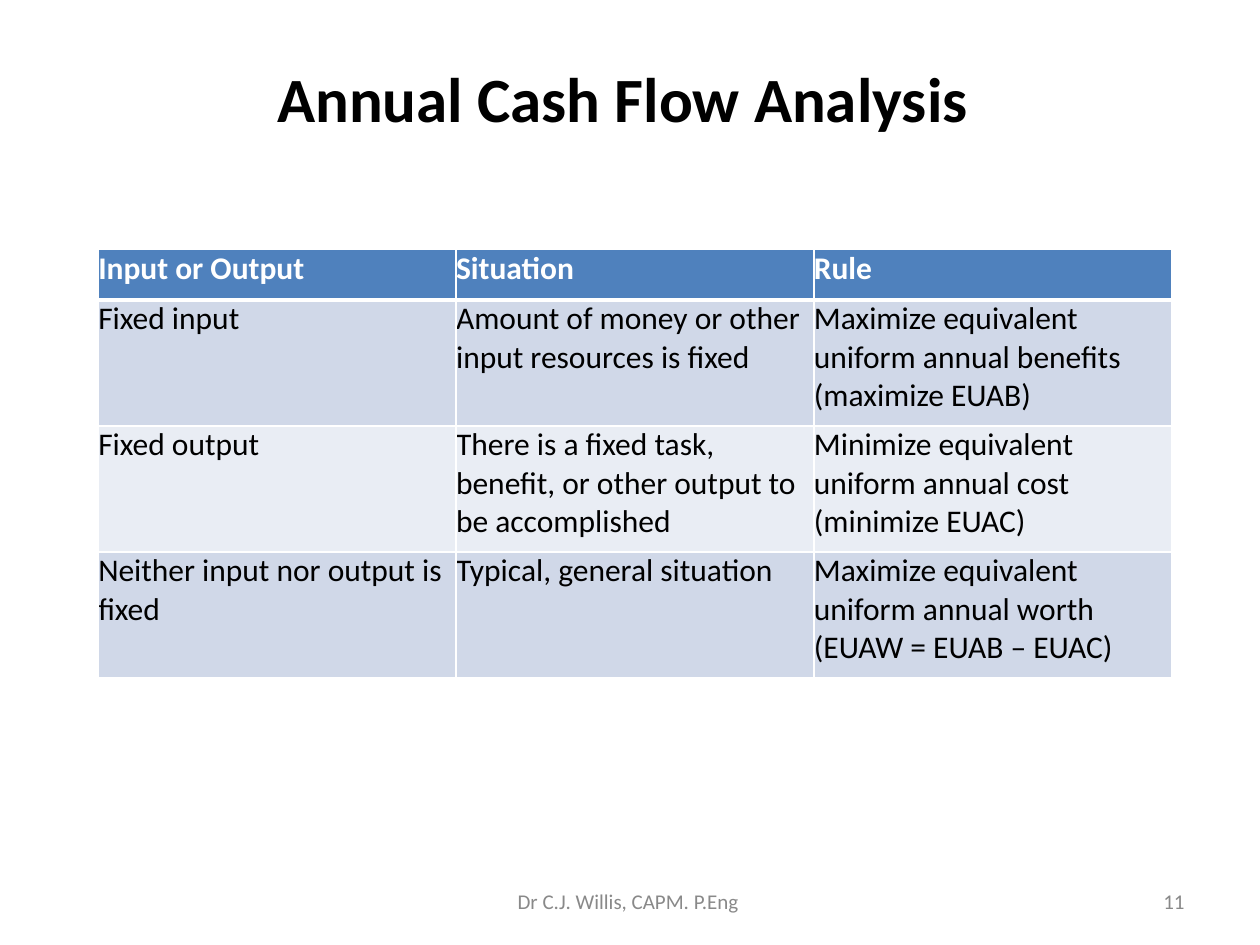
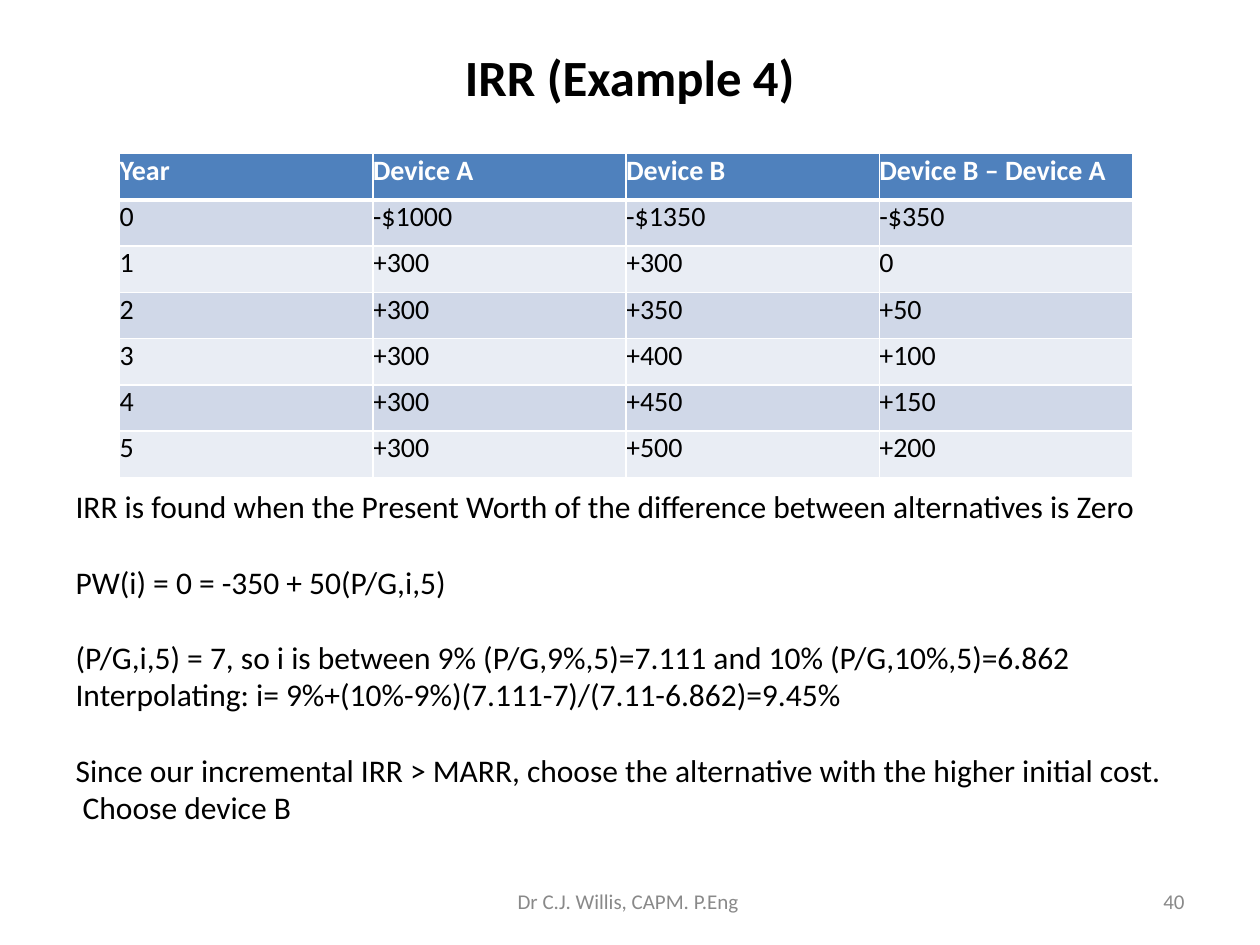
from pptx import Presentation
from pptx.dml.color import RGBColor
from pptx.enum.text import MSO_ANCHOR as Anchor, MSO_AUTO_SIZE as AutoSize, PP_ALIGN as Align
from pptx.oxml.ns import qn
from pptx.util import Inches, Pt
from lxml.etree import SubElement

SLIDE_WIDTH, SLIDE_HEIGHT = Inches(10), Inches(7.5)
COLUMN, ROW = SLIDE_WIDTH // 100, SLIDE_HEIGHT // 75

FONT = "Calibri"
BLACK = RGBColor(0x00, 0x00, 0x00)
WHITE = RGBColor(0xFF, 0xFF, 0xFF)
GREY = RGBColor(0x89, 0x89, 0x89)
HEADER_BLUE = RGBColor(0x4F, 0x81, 0xBD)
BANDS = (RGBColor(0xD0, 0xD8, 0xE8), RGBColor(0xE9, 0xED, 0xF4))

TITLE_ONLY, TITLE_AND_BODY = 5, 1
AUTHOR = "Dr C.J. Willis, CAPM. P.Eng "
BODY_LINE = Pt(21.5)

CASH_FLOW_RULES = [
    ("Input or Output", "Situation", "Rule"),
    ("Fixed input", "Amount of money or other input resources is fixed",
     "Maximize equivalent uniform annual benefits (maximize EUAB)"),
    ("Fixed output", "There is a fixed task, benefit, or other output to be accomplished",
     "Minimize equivalent uniform annual cost (minimize EUAC)"),
    ("Neither input nor output is fixed", "Typical, general situation",
     "Maximize equivalent uniform annual worth (EUAW = EUAB – EUAC)"),
]
DEVICE_CASH_FLOWS = [
    ("Year", "Device A", "Device B", "Device B – Device A"),
    ("0", "-$1000", "-$1350", "-$350"),
    ("1", "+300", "+300", "0"),
    ("2", "+300", "+350", "+50"),
    ("3", "+300", "+400", "+100"),
    ("4", "+300", "+450", "+150"),
    ("5", "+300", "+500", "+200"),
]
IRR_STEPS = [
    ["IRR is found when the Present Worth of the difference between alternatives is Zero"],
    ["PW(i) = 0 = -350 + 50(P/G,i,5)"],
    ["(P/G,i,5) = 7, so i is between 9% (P/G,9%,5)=7.111 and 10% (P/G,10%,5)=6.862",
     "Interpolating: i= 9%+(10%-9%)(7.111-7)/(7.11-6.862)=9.45%"],
    ["Since our incremental IRR > MARR, choose the alternative with the higher initial cost.",
     " Choose device B"],
]


def grid(left, top, width, height):
    return int(left * COLUMN), int(top * ROW), int(width * COLUMN), int(height * ROW)


def move(shape, area):
    shape.left, shape.top, shape.width, shape.height = grid(*area)


def write(para, text, size, color, bold=False, align=Align.LEFT):
    para.text = text
    para.alignment = align
    font = para.font
    font.name, font.size, font.bold = FONT, Pt(size), bold
    font.color.rgb = color


def add_footer_text(page, text, area, align):
    box = page.shapes.add_textbox(*grid(*area))
    frame = box.text_frame
    frame.word_wrap = True
    frame.vertical_anchor = Anchor.MIDDLE
    write(frame.paragraphs[0], text, 12, GREY, align=align)


def add_page(deck, layout, title, title_size, title_height, number):
    page = deck.slides.add_slide(deck.slide_layouts[layout])
    heading = page.shapes.title
    move(heading, (5, 3, 90, title_height))
    heading.text_frame.auto_size = AutoSize.NONE
    heading.text_frame.vertical_anchor = Anchor.MIDDLE
    write(heading.text_frame.paragraphs[0], title, title_size, BLACK, True, Align.CENTER)
    add_footer_text(page, str(number), (71.7, 69.5, 23.3, 4), Align.RIGHT)
    add_footer_text(page, AUTHOR, (34.2, 69.5, 31.7, 4), Align.CENTER)
    return page


def add_border(cell, side, width):
    line = SubElement(cell._tc.get_or_add_tcPr(), qn(f"a:{side}"), w=str(Pt(width)))
    fill = SubElement(line, qn("a:solidFill"))
    SubElement(fill, qn("a:srgbClr"), val=str(WHITE))


def format_cell(cell, text, row, size):
    is_header = row == 0
    cell.margin_left = cell.margin_right = cell.margin_top = cell.margin_bottom = 0
    add_border(cell, "lnL", 1)
    add_border(cell, "lnR", 1)
    add_border(cell, "lnT", 3 if row == 1 else 1)
    add_border(cell, "lnB", 3 if is_header else 1)
    cell.fill.solid()
    cell.fill.fore_color.rgb = HEADER_BLUE if is_header else BANDS[(row - 1) % 2]
    write(cell.text_frame.paragraphs[0], text, size, WHITE if is_header else BLACK, is_header)


def add_grid_table(page, records, left, top, column_width, row_heights, size):
    column_count = len(records[0])
    area = grid(left, top, column_width * column_count, sum(row_heights))
    table = page.shapes.add_table(len(records), column_count, *area).table
    for column in table.columns:
        column.width = int(column_width * COLUMN)
    for row, (record, height) in enumerate(zip(records, row_heights)):
        table.rows[row].height = int(height * ROW)
        for column, text in enumerate(record):
            format_cell(table.cell(row, column), text, row, size)


def fill_body(page, groups, area):
    body = page.placeholders[1]
    move(body, area)
    frame = body.text_frame
    frame.auto_size = AutoSize.NONE
    para = frame.paragraphs[0]
    for group_index, group in enumerate(groups):
        for line_index, text in enumerate(group):
            if group_index or line_index:
                para = frame.add_paragraph()
            write(para, text, 18, BLACK)
            para.line_spacing = BODY_LINE
            para.space_before = BODY_LINE if group_index and not line_index else Pt(0)
            properties = para._p.get_or_add_pPr()
            properties.set("marL", "0")
            properties.set("indent", "0")
            SubElement(properties, qn("a:buNone"))
            properties.append(properties.find(qn("a:defRPr")))


def main():
    deck = Presentation()
    deck.slide_width, deck.slide_height = SLIDE_WIDTH, SLIDE_HEIGHT

    analysis = add_page(deck, TITLE_ONLY, "Annual Cash Flow Analysis ", 36, 9.5, 11)
    add_grid_table(analysis, CASH_FLOW_RULES, 7.8, 19.8, 28.4, [4, 10, 10, 10], 18)

    example = add_page(deck, TITLE_AND_BODY, "IRR (Example 4)", 29, 6.1, 40)
    add_grid_table(example, DEVICE_CASH_FLOWS, 9.5, 12.2, 20.1, [3.67] * 7, 16)
    fill_body(example, IRR_STEPS, (5, 38.2, 90, 31.3))

    deck.save("out.pptx")


if __name__ == "__main__":
    main()
